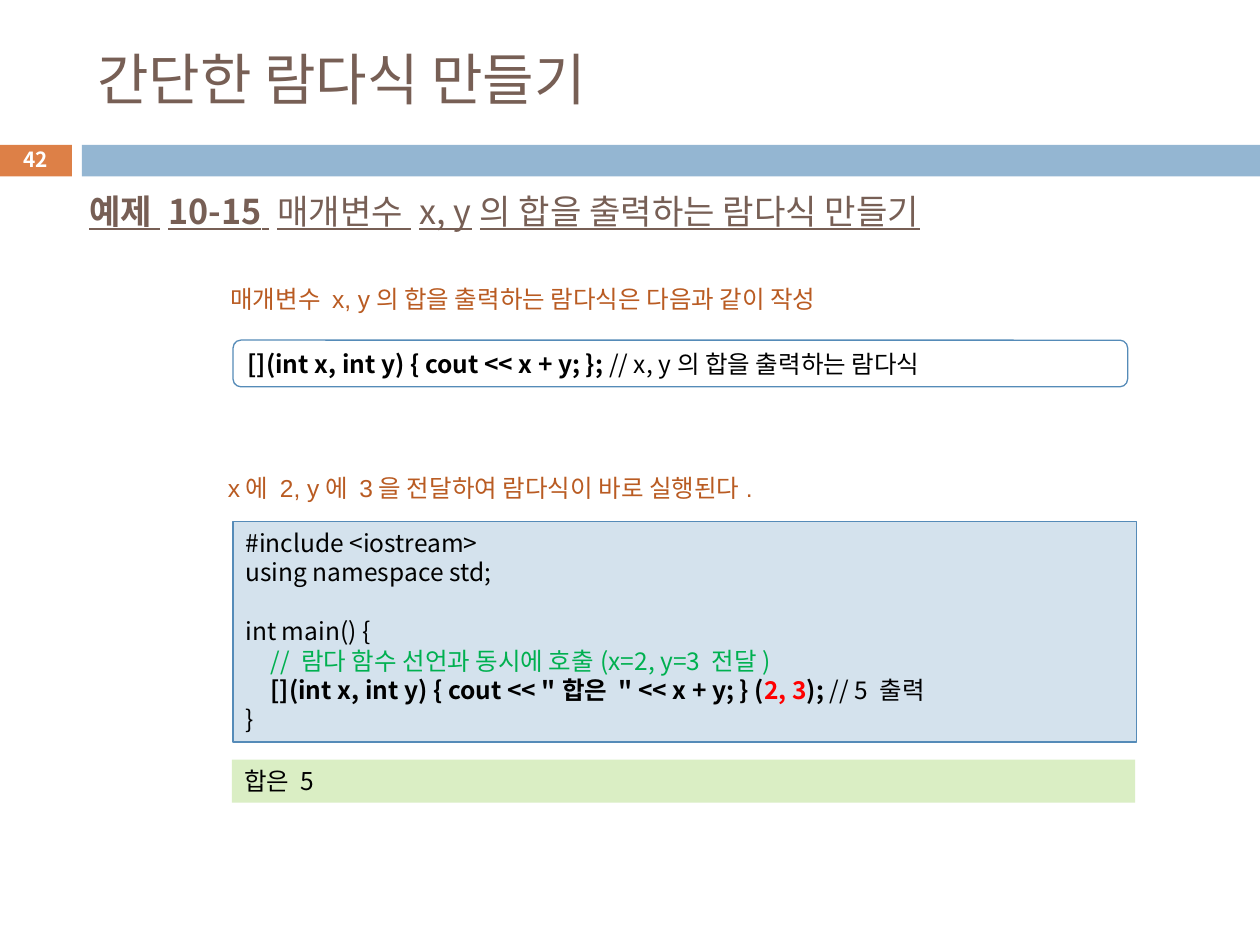
from lxml import etree
from pptx import Presentation
from pptx.dml.color import RGBColor
from pptx.enum.shapes import MSO_SHAPE
from pptx.enum.text import MSO_ANCHOR, PP_ALIGN
from pptx.oxml.ns import qn
from pptx.util import Pt

RECTANGLE = MSO_SHAPE.RECTANGLE
ROUNDED = MSO_SHAPE.ROUNDED_RECTANGLE
TOP, MIDDLE = MSO_ANCHOR.TOP, MSO_ANCHOR.MIDDLE
LEFT, CENTER = PP_ALIGN.LEFT, PP_ALIGN.CENTER

KOREAN_FONT = "Noto Sans CJK KR"
LABEL_FONT = "Arial"
CODE_SIZE = 14
CODE_LINE = 16.8
CODE_TAB = 14.4
COLORS = {
    "brown": "775F55", "orange": "DD8047", "blue": "94B6D2",
    "pale_blue": "D4E2ED", "outline": "558BB8", "pale_green": "DAEEC4",
    "rust": "B95B22", "green": "00B050", "red": "FF0000",
    "black": "000000", "white": "FFFFFF",
}


class LectureSlide:
    """Holds the text style and the current page, and draws its elements."""

    def __init__(self, deck):
        self.page = deck.slides.add_slide(deck.slide_layouts[5])

    def color(self, name):
        return RGBColor.from_string(COLORS[name])

    def add_spans(self, para, spans, size=CODE_SIZE, color="black", font=KOREAN_FONT):
        for text, style in spans:
            span = para.add_run()
            span.text = text
            span.font.size = Pt(size)
            span.font.bold = style.get("bold", False)
            if style.get("underline"):
                span.font.underline = True
            span.font.color.rgb = self.color(style.get("color", color))
            span.font.name = font
            east_asian = etree.SubElement(span.font._element, qn("a:ea"))
            east_asian.set("typeface", KOREAN_FONT)

    def fill_frame(self, shape, spans, align=LEFT, **style):
        frame = shape.text_frame
        frame.word_wrap = True
        frame.vertical_anchor = MIDDLE
        para = frame.paragraphs[0]
        para.alignment = align
        self.add_spans(para, spans, **style)

    def title(self, text, bounds):
        shape = self.page.shapes.title
        shape.left, shape.top, shape.width, shape.height = map(Pt, bounds)
        self.fill_frame(shape, [(text, {})], size=32, color="brown")

    def text(self, spans, bounds, **style):
        box = self.page.shapes.add_textbox(*map(Pt, bounds))
        self.fill_frame(box, spans, **style)

    def box(self, bounds, fill=None, line=None, kind=RECTANGLE, spans=()):
        shape = self.page.shapes.add_shape(kind, *map(Pt, bounds))
        shape.shadow.inherit = False
        if fill:
            shape.fill.solid()
            shape.fill.fore_color.rgb = self.color(fill)
        else:
            shape.fill.background()
        if line:
            shape.line.color.rgb = self.color(line)
            shape.line.width = Pt(0.75)
        else:
            shape.line.fill.background()
        if spans:
            self.fill_frame(shape, spans)
        return shape

    def code(self, lines, bounds):
        frame = self.box(bounds, "pale_blue", "outline").text_frame
        frame.word_wrap = True
        frame.vertical_anchor = TOP
        for index, (gap, spans) in enumerate(lines):
            para = frame.add_paragraph() if index else frame.paragraphs[0]
            para.alignment = LEFT
            para.line_spacing = Pt(CODE_LINE)
            para.space_before = Pt(gap)
            tabs = etree.SubElement(para._p.get_or_add_pPr(), qn("a:tabLst"))
            etree.SubElement(tabs, qn("a:tab"), pos=str(Pt(CODE_TAB)), algn="l")
            self.add_spans(para, spans)


def main():
    deck = Presentation()
    deck.slide_width, deck.slide_height = Pt(720), Pt(540)
    slide = LectureSlide(deck)

    slide.box((-0.72, 82.8, 41.76, 18), "orange")
    slide.box((46.8, 82.8, 673.2, 18), "blue")
    slide.title("간단한 람다식 만들기", (48.24, 18, 642.24, 53.28))
    slide.text([("42", {"bold": True})], (-0.72, 81.4, 41.76, 19.4),
               align=CENTER, size=11.9, color="white")

    heading = [("예제", True), (" ", False), ("10-15", True),
               (" 매개변수 x, y의 합을 출력하는 람다식 만들기", False)]
    slide.text([(text, {"bold": bold, "underline": True}) for text, bold in heading],
               (43.92, 93.6, 642.24, 53.28), size=19.5, color="brown")

    bold = {"bold": True}
    slide.code([
        (0, [("#include <iostream>", {})]),
        (0, [("using namespace std;", {})]),
        (CODE_LINE, [("int main() {", {})]),
        (0, [("\t", {}),
             ("// 람다 함수 선언과 동시에 호출(x=2, y=3 전달)", {"color": "green"})]),
        (0, [("\t", {}),
             ("[](int x, int y) { cout << \"합은 \" << x + y; } (", bold),
             ("2, 3", {"bold": True, "color": "red"}),
             ("); ", bold), ("// 5 출력", {})]),
        (0, [("}", {})]),
    ], (133.2, 298.08, 516.24, 126))
    slide.box((133.2, 194.4, 511.2, 26.64), line="outline", kind=ROUNDED,
              spans=[("[](int x, int y) { cout << x + y; }; ", bold),
                     ("// x, y의 합을 출력하는 람다식", {})])

    labels = [
        ("매개변수 x, y의 합을 출력하는 람다식은 다음과 같이 작성",
         (124.56, 158.4, 434.16, 24.48)),
        ("x에 2, y에 3을 전달하여 람다식이 바로 실행된다.",
         (123.12, 266.4, 435.6, 24.48)),
    ]
    for text, bounds in labels:
        slide.text([(text, {})], bounds, color="rust", font=LABEL_FONT)

    slide.box((132.48, 434.16, 516.24, 24.48), "pale_green",
              spans=[("합은 5", {})])
    deck.save("out.pptx")


if __name__ == "__main__":
    main()
